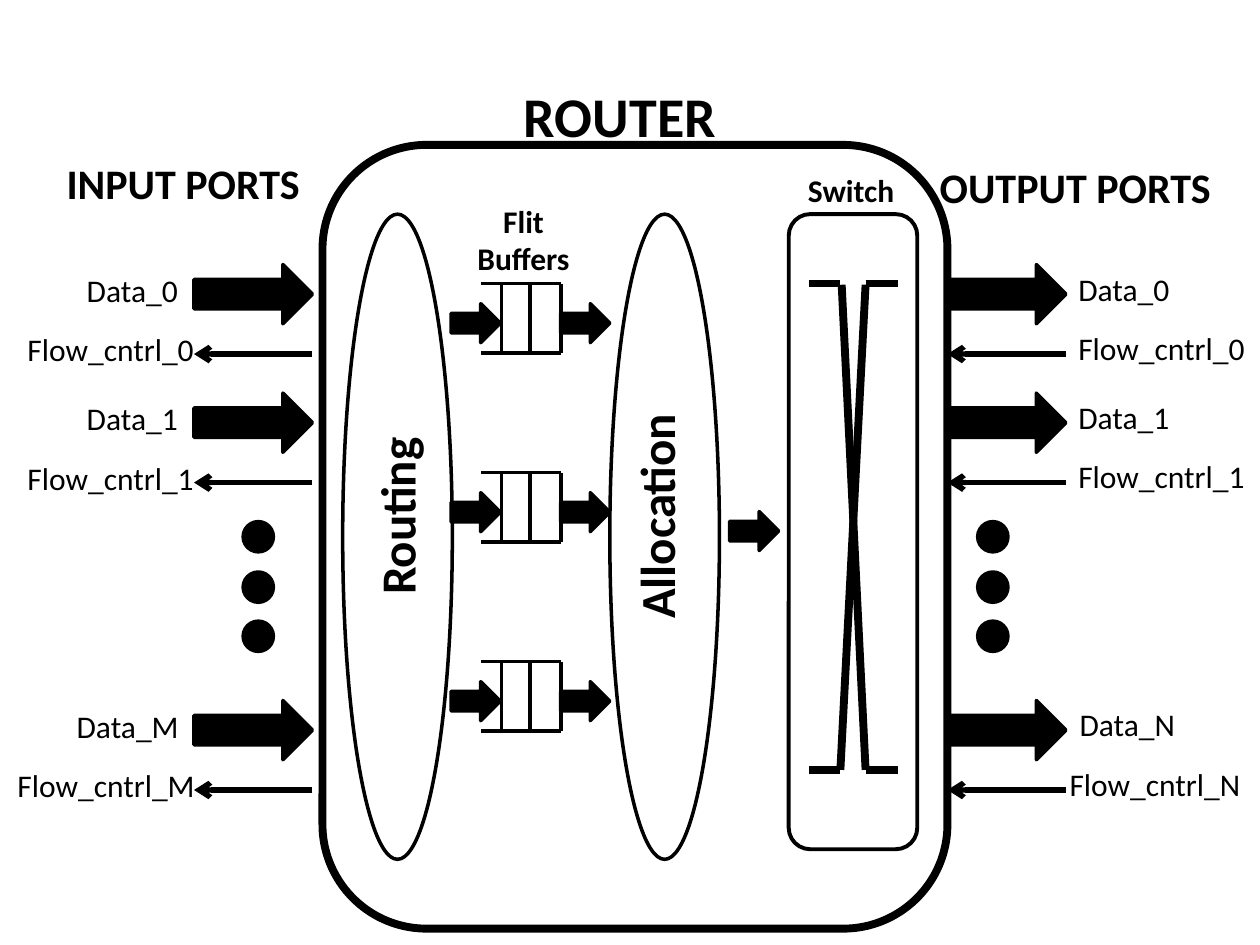
from dataclasses import dataclass

from lxml.etree import SubElement
from pptx import Presentation
from pptx.dml.color import RGBColor
from pptx.enum.shapes import MSO_CONNECTOR, MSO_SHAPE
from pptx.enum.text import MSO_AUTO_SIZE, PP_ALIGN
from pptx.oxml.ns import qn
from pptx.util import Inches, Pt


@dataclass(frozen=True)
class Theme:
    """Colours, font, type sizes and line widths in points."""
    ink: RGBColor = RGBColor(0, 0, 0)
    font: str = "Calibri"
    title: int = 32
    stage: int = 28
    heading: int = 24
    label: int = 18
    heavy: float = 4.5
    flow: float = 3
    medium: float = 2.25
    thin: float = 2


THEME = Theme()
BUFFER_TOPS = (2.25, 3.75, 5.25)
PORT_TOPS = (2.1, 3.12, 5.56)
DOT_TOPS = (4.14, 4.54, 4.93)
# Port name, then left and width of the data label and of the flow label
INPUT_PORTS = (
    ("0", 0.59, 0.93, 0.12, 1.54),
    ("1", 0.59, 0.93, 0.12, 1.54),
    ("M", 0.51, 1.02, 0.04, 1.62),
)
OUTPUT_PORTS = (
    ("0", 8.46, 0.93, 8.46, 1.54),
    ("1", 8.46, 0.93, 8.46, 1.54),
    ("N", 8.47, 0.97, 8.39, 1.57),
)


def add_block(shapes, kind, left, top, width, height, weight=THEME.thin, filled=False):
    """Add an outlined preset shape, solid or empty."""
    shape = shapes.add_shape(kind, Inches(left), Inches(top), Inches(width), Inches(height))
    shape.shadow.inherit = False
    if filled:
        shape.fill.solid()
        shape.fill.fore_color.rgb = THEME.ink
    else:
        shape.fill.background()
    shape.line.color.rgb = THEME.ink
    shape.line.width = Pt(weight)


def add_line(shapes, x1, y1, x2, y2, weight, arrow=False):
    """Add a straight line, with an open arrowhead at its end if asked."""
    connector = shapes.add_connector(
        MSO_CONNECTOR.STRAIGHT, Inches(x1), Inches(y1), Inches(x2), Inches(y2))
    connector.line.color.rgb = THEME.ink
    connector.line.width = Pt(weight)
    if arrow:
        SubElement(connector.line._get_or_add_ln(), qn("a:tailEnd"), type="arrow")
    SubElement(connector._element.spPr, qn("a:effectLst"))


def add_text(shapes, text, left, top, width, height, size, bold=True,
             alignment=PP_ALIGN.LEFT, rotation=0):
    """Add an unwrapped text box, one paragraph for each line of text."""
    box = shapes.add_textbox(Inches(left), Inches(top), Inches(width), Inches(height))
    box.rotation = rotation
    frame = box.text_frame
    frame.text = text
    frame.word_wrap = False
    frame.auto_size = MSO_AUTO_SIZE.SHAPE_TO_FIT_TEXT
    for paragraph in frame.paragraphs:
        paragraph.alignment = alignment
        paragraph.font.name = THEME.font
        paragraph.font.size = Pt(size)
        paragraph.font.bold = bold
        paragraph.font.color.rgb = THEME.ink


def add_step_arrow(shapes, left, top):
    """Add a small block arrow between two router stages."""
    add_block(shapes, MSO_SHAPE.RIGHT_ARROW, left, top, 0.39, 0.31, filled=True)


def add_buffer(shapes, top):
    """Add a flit buffer, open on its left, with arrows in and out."""
    bottom = top + 0.55
    for y in (top, bottom):
        add_line(shapes, 3.82, y, 4.45, y, THEME.medium)
    for x in (3.98, 4.21, 4.45):
        add_line(shapes, x, top, x, bottom, THEME.medium)
    for left in (3.58, 4.45):
        add_step_arrow(shapes, left, top + 0.16)


def add_crossbar(shapes):
    """Add the grouped crossing lines inside the switch."""
    group = shapes.add_group_shape()
    for y in (2.25, 6.11):
        add_line(group.shapes, 6.42, y, 6.67, y, THEME.heavy)
        add_line(group.shapes, 6.87, y, 7.13, y, THEME.heavy)
    for start, end in ((6.68, 6.87), (6.87, 6.67)):
        add_line(group.shapes, start, 2.26, end, 6.11, THEME.heavy)


def add_stage(shapes, name, left, text_left, text_width):
    """Add an upright ellipse with its name reading upwards."""
    add_block(shapes, MSO_SHAPE.OVAL, left, 1.7, 0.87, 5.12)
    add_text(shapes, name, text_left, 3.8, text_width, 0.57, THEME.stage, rotation=270)


def add_ports(shapes, ports, arrow_left, dot_left, label_offset):
    """Add one side's data arrows, flow control lines, labels and dots."""
    for top, (name, data_left, data_width, flow_left, flow_width) in zip(PORT_TOPS, ports):
        flow_y = top + 0.71
        label_top = top + label_offset
        add_block(shapes, MSO_SHAPE.RIGHT_ARROW, arrow_left, top, 0.94, 0.47, filled=True)
        add_line(shapes, arrow_left + 0.94, flow_y, arrow_left, flow_y, THEME.flow, arrow=True)
        add_text(shapes, f"Data_{name}", data_left, label_top, data_width, 0.4,
                 THEME.label, bold=False)
        add_text(shapes, f"Flow_cntrl_{name}", flow_left, label_top + 0.47, flow_width, 0.4,
                 THEME.label, bold=False)
    for top in DOT_TOPS:
        add_block(shapes, MSO_SHAPE.OVAL, dot_left, top, 0.24, 0.24, filled=True)


def main():
    """Build the router diagram and save it."""
    presentation = Presentation()
    presentation.slide_width = Inches(10)
    presentation.slide_height = Inches(7.5)
    slide = presentation.slides.add_slide(presentation.slide_layouts[6])
    shapes = slide.shapes

    add_block(shapes, MSO_SHAPE.ROUNDED_RECTANGLE, 2.56, 1.15, 4.96, 6.22, THEME.heavy)
    add_stage(shapes, "Routing", 2.72, 2.41, 1.47)
    add_stage(shapes, "Allocation", 4.84, 4.28, 1.85)
    for top in BUFFER_TOPS:
        add_buffer(shapes, top)
    add_block(shapes, MSO_SHAPE.ROUNDED_RECTANGLE, 6.26, 1.7, 1.02, 5.04, THEME.medium)
    add_crossbar(shapes)
    add_step_arrow(shapes, 5.79, 4.06)

    add_text(shapes, "Flit\nBuffers", 3.68, 1.55, 0.95, 0.71, THEME.label,
             alignment=PP_ALIGN.CENTER)
    add_text(shapes, "Switch", 6.31, 1.31, 0.89, 0.4, THEME.label, alignment=PP_ALIGN.CENTER)
    add_text(shapes, "INPUT PORTS", 0.43, 1.2, 2.07, 0.5, THEME.heading)
    add_text(shapes, "OUTPUT PORTS", 7.36, 1.23, 2.37, 0.5, THEME.heading)
    add_text(shapes, "ROUTER", 4.06, 0.6, 1.74, 0.64, THEME.title)

    add_ports(shapes, INPUT_PORTS, 1.54, 1.93, 0)
    add_ports(shapes, OUTPUT_PORTS, 7.52, 7.76, -0.01)
    presentation.save("out.pptx")


main()
